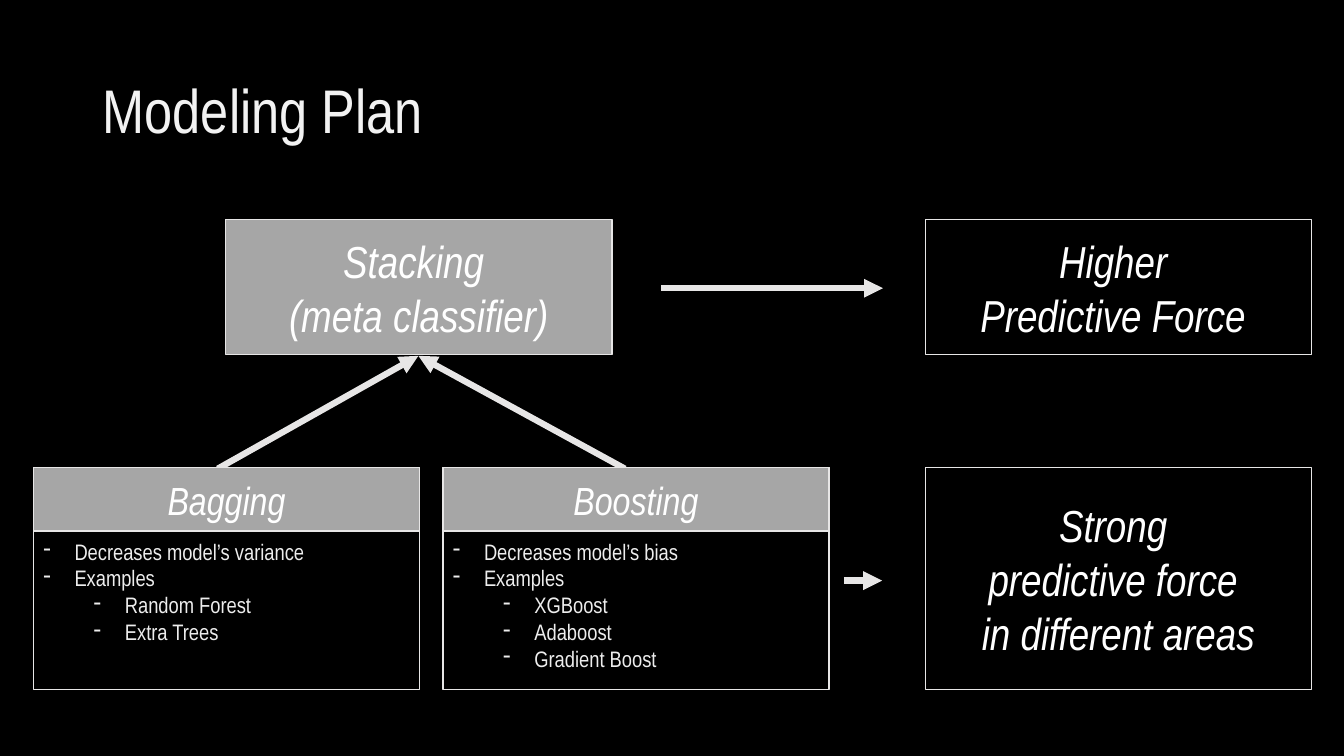
"""Build the modeling plan slide: bagging and boosting feeding a stacked classifier."""
import dataclasses

import lxml.etree
import pptx
import pptx.dml.color
import pptx.enum.shapes
import pptx.enum.text
import pptx.oxml.ns
import pptx.util

SLIDE_WIDTH = pptx.util.Inches(13.33)
SLIDE_HEIGHT = pptx.util.Inches(7.5)
BLACK, WHITE, PALE, GRAY = "000000", "FFFFFF", "E7E6E6", "A6A6A6"

BOX_WIDTH = 28.73
BAGGING_X, BOOSTING_X, STACKING_X, RESULT_X = 2.48, 32.95, 16.8, 68.85
UPPER_Y, UPPER_HEIGHT = 29.07, 17.87
LOWER_Y, LOWER_HEIGHT, HEADING_HEIGHT = 61.87, 29.33, 8.4
NOTES_Y = LOWER_Y + HEADING_HEIGHT + 0.2
STACKING_FOOT = (31.13, 47.07)

TITLE_FORMAT = {"size": 44, "color": "F2F2F2", "italic": False}
OUTCOME_FORMAT = {"size": 32, "color": WHITE, "italic": True}
HEADING_FORMAT = {"size": 28, "color": WHITE, "italic": True}
NOTE_FORMAT = {"size": 16, "color": "EDEDED", "italic": False}


@dataclasses.dataclass(frozen=True)
class Box:
    """A framed box placed by percent of the slide."""
    x: float
    y: float
    height: float
    lines: tuple[str, ...] = ()
    text_format: dict = dataclasses.field(default_factory=lambda: OUTCOME_FORMAT)
    fill: str | None = None


@dataclasses.dataclass(frozen=True)
class Arrow:
    """An arrow between two points in percent of the slide."""
    start: tuple[float, float]
    end: tuple[float, float]


@dataclasses.dataclass(frozen=True)
class Method:
    """An ensemble method with its effect and example models."""
    x: float
    name: str
    effect: str
    examples: tuple[str, ...]


METHODS = (
    Method(BAGGING_X, "Bagging", "Decreases model’s variance", ("Random Forest", "Extra Trees")),
    Method(BOOSTING_X, "Boosting", "Decreases model’s bias",
           ("XGBoost", "Adaboost", "Gradient Boost")),
)
OUTCOMES = (
    Box(STACKING_X, UPPER_Y, UPPER_HEIGHT, ("Stacking ", "(meta classifier)"), fill=GRAY),
    Box(RESULT_X, UPPER_Y, UPPER_HEIGHT, ("Higher ", "Predictive Force ")),
    Box(RESULT_X, LOWER_Y, LOWER_HEIGHT, ("Strong \vpredictive force ", "in different areas")),
)
METHOD_ARROWS = (
    Arrow((16.2, 62), STACKING_FOOT),
    Arrow((46.5, 62), STACKING_FOOT),
)
RESULT_ARROWS = (
    Arrow((49.2, 38.13), (65.7, 38.13)),
    Arrow((62.78, 76.8), (65.63, 76.8)),
)


def rgb(value: str) -> pptx.dml.color.RGBColor:
    """Turn a hex string into a colour."""
    return pptx.dml.color.RGBColor.from_string(value)


def across(percent: float) -> int:
    """Convert a share of the slide width to a length."""
    return round(SLIDE_WIDTH * percent / 100)


def down(percent: float) -> int:
    """Convert a share of the slide height to a length."""
    return round(SLIDE_HEIGHT * percent / 100)


def write(paragraph, text: str, text_format: dict) -> None:
    """Fill a paragraph with formatted text."""
    paragraph.text = text
    values = {"name": "Arial Narrow", "size": pptx.util.Pt(text_format["size"]),
              "italic": text_format["italic"]}
    for run in paragraph.runs:
        for attribute, value in values.items():
            setattr(run.font, attribute, value)
        run.font.color.rgb = rgb(text_format["color"])


def paragraphs(frame, count: int) -> list:
    """Give a text frame the wanted number of paragraphs."""
    return [frame.paragraphs[0]] + [frame.add_paragraph() for _ in range(count - 1)]


def draw_title(slide, text: str) -> None:
    """Place the slide title."""
    title = slide.shapes.add_textbox(across(6.9), down(5.33), across(86.25), down(19.33))
    title.text_frame.word_wrap = True
    title.text_frame.vertical_anchor = pptx.enum.text.MSO_ANCHOR.MIDDLE
    title.text_frame.paragraphs[0].line_spacing = 0.9
    write(title.text_frame.paragraphs[0], text, TITLE_FORMAT)


def draw_box(slide, box: Box) -> None:
    """Draw a framed box with centred lines."""
    frame = slide.shapes.add_shape(
        pptx.enum.shapes.MSO_SHAPE.RECTANGLE,
        across(box.x), down(box.y), across(BOX_WIDTH), down(box.height))
    frame.shadow.inherit = False
    if box.fill:
        frame.fill.solid()
        frame.fill.fore_color.rgb = rgb(box.fill)
    else:
        frame.fill.background()
    frame.line.color.rgb = rgb(PALE)
    frame.line.width = pptx.util.Pt(1)
    frame.text_frame.vertical_anchor = pptx.enum.text.MSO_ANCHOR.MIDDLE
    for paragraph, line in zip(paragraphs(frame.text_frame, len(box.lines)), box.lines):
        paragraph.alignment = pptx.enum.text.PP_ALIGN.CENTER
        write(paragraph, line, box.text_format)


def draw_notes(slide, method: Method) -> None:
    """List the effect and examples of a method with dashes."""
    entries = [(0, method.effect), (0, "Examples")] + [(1, name) for name in method.examples]
    notes = slide.shapes.add_textbox(
        across(method.x), down(NOTES_Y), across(BOX_WIDTH), down(3.6 * len(entries) + 1.3))
    notes.text_frame.word_wrap = True
    for paragraph, (level, text) in zip(paragraphs(notes.text_frame, len(entries)), entries):
        write(paragraph, text, NOTE_FORMAT)
        paragraph.level = level
        properties = paragraph._p.get_or_add_pPr()
        properties.set("marL", str(pptx.util.Inches(0.31 + 0.5 * level)))
        properties.set("indent", str(pptx.util.Inches(-0.31)))
        bullet = lxml.etree.SubElement(properties, pptx.oxml.ns.qn("a:buChar"))
        bullet.set("char", "-")


def draw_arrow(slide, arrow: Arrow) -> None:
    """Draw a thick line with a triangular head."""
    link = slide.shapes.add_connector(
        pptx.enum.shapes.MSO_CONNECTOR.STRAIGHT,
        across(arrow.start[0]), down(arrow.start[1]), across(arrow.end[0]), down(arrow.end[1]))
    link.line.color.rgb = rgb(PALE)
    link.line.width = pptx.util.Pt(4.5)
    head = lxml.etree.SubElement(link.line._get_or_add_ln(), pptx.oxml.ns.qn("a:tailEnd"))
    head.set("type", "triangle")
    lxml.etree.SubElement(link._element.spPr, pptx.oxml.ns.qn("a:effectLst"))


def main() -> None:
    """Assemble and save the slide."""
    deck = pptx.Presentation()
    deck.slide_width, deck.slide_height = SLIDE_WIDTH, SLIDE_HEIGHT
    slide = deck.slides.add_slide(deck.slide_layouts[6])
    slide.background.fill.solid()
    slide.background.fill.fore_color.rgb = rgb(BLACK)
    for arrow in METHOD_ARROWS:
        draw_arrow(slide, arrow)
    draw_title(slide, "Modeling Plan")
    for method in METHODS:
        draw_box(slide, Box(method.x, LOWER_Y, LOWER_HEIGHT))
        draw_box(slide, Box(method.x, LOWER_Y, HEADING_HEIGHT, (method.name,),
                            HEADING_FORMAT, GRAY))
        draw_notes(slide, method)
    for outcome in OUTCOMES:
        draw_box(slide, outcome)
    for arrow in RESULT_ARROWS:
        draw_arrow(slide, arrow)
    deck.save("out.pptx")


if __name__ == "__main__":
    main()
